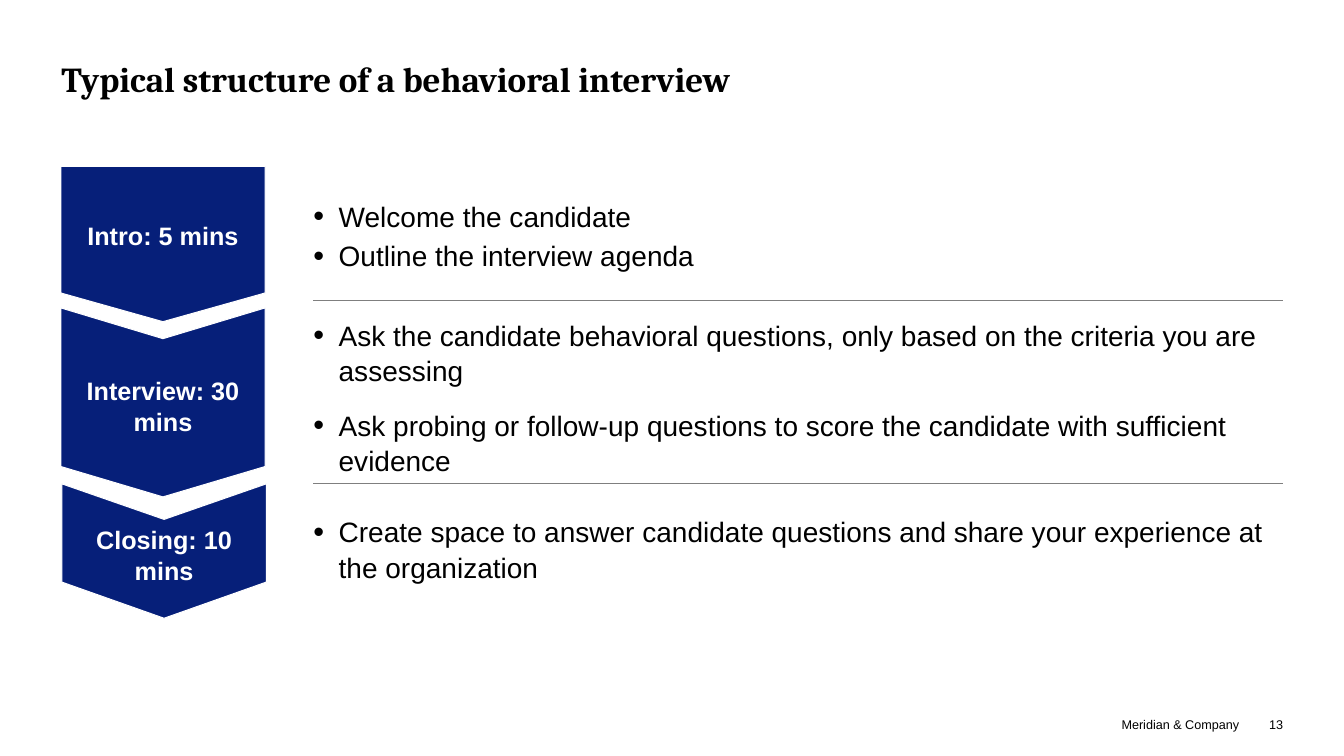
"""Build the slide on the structure of a behavioral interview."""
from lxml import etree
from pptx import Presentation
from pptx.dml.color import RGBColor
from pptx.enum.shapes import MSO_CONNECTOR
from pptx.enum.text import MSO_ANCHOR, PP_ALIGN
from pptx.oxml.ns import qn
from pptx.util import Pt

LEFT, MID, RIGHT = PP_ALIGN.LEFT, PP_ALIGN.CENTER, PP_ALIGN.RIGHT
TOP, CENTER, BOTTOM = MSO_ANCHOR.TOP, MSO_ANCHOR.MIDDLE, MSO_ANCHOR.BOTTOM
STRAIGHT = MSO_CONNECTOR.STRAIGHT

NAVY = RGBColor(0x06, 0x1F, 0x79)
WHITE = RGBColor(0xFF, 0xFF, 0xFF)
BLACK = RGBColor(0, 0, 0)
GRAY = RGBColor(0x7F, 0x7F, 0x7F)

TITLE = "Typical structure of a behavioral interview"
STAGES = [
    {"label": "Intro: 5 mins", "left": 43.4, "top": 118.9, "side": 209.3,
     "notch": 0, "tip": 20.5, "mid": 167.8, "text": 141.1, "gap": 0,
     "points": ["Welcome the candidate", "Outline the interview agenda"]},
    {"label": "Interview: 30 mins", "left": 43.4, "top": 219.9, "side": 333.2,
     "notch": 22, "tip": 21.7, "mid": 289.4, "text": 226.1, "gap": 11,
     "points": [
         "Ask the candidate behavioral questions, only based on the criteria you are assessing",
         "Ask probing or follow-up questions to score the candidate with sufficient evidence"]},
    {"label": "Closing: 10 mins", "left": 44.2, "top": 345.6, "side": 415.8,
     "notch": 25.4, "tip": 25.8, "mid": 395.8, "text": 366.5, "gap": 0,
     "points": [
         "Create space to answer candidate questions and share your experience at the organization"]},
]
FOOTER = [
    ("Meridian & Company", 798.5, 89.3, MID, False),
    ("13", 890.6, 26, RIGHT, True),
]
RULES = [214.6, 345.6]
WIDE, LABEL = 146, 126
BODY, EDGE = 223.9, 916.6

LEAD = {"size": Pt(25), "name": "Cambria", "bold": True}
TAG = {"size": Pt(18), "name": "Arial", "bold": True}
TEXT = {"size": Pt(20), "name": "Arial", "bold": False}
SMALL = {"size": Pt(9), "name": "Arial", "bold": False}


def style(para, font, color, align=LEFT, **form):
    """Format one paragraph and its font."""
    para.alignment = align
    for key, value in form.items():
        setattr(para, key, value)
    for key, value in font.items():
        setattr(para.font, key, value)
    para.font.color.rgb = color


def frame(shape, anchor, wrap=True):
    """Clear the margins of a shape and return its text frame."""
    area = shape.text_frame
    form = {"margin_left": 0, "margin_right": 0, "margin_top": 0,
            "margin_bottom": 0, "word_wrap": wrap, "vertical_anchor": anchor}
    for key, value in form.items():
        setattr(area, key, value)
    return area


def box(slide, left, top, wide, high, anchor, wrap=True):
    """Add a text box and return its text frame."""
    shape = slide.shapes.add_textbox(Pt(left), Pt(top), Pt(wide), Pt(high))
    return frame(shape, anchor, wrap)


def bullet(para):
    """Give a paragraph a hanging bullet."""
    props = para._p.get_or_add_pPr()
    props.set("marL", str(Pt(18)))
    props.set("indent", str(-Pt(18)))
    etree.SubElement(props, qn("a:buSzPct")).set("val", "110000")
    etree.SubElement(props, qn("a:buFont")).set("typeface", "Arial")
    etree.SubElement(props, qn("a:buChar")).set("char", "•")


def chevron(slide, stage):
    """Draw one stage arrow with its label."""
    left, top, side = stage["left"], stage["top"], stage["side"]
    mid, right = left + WIDE / 2, left + WIDE
    dots = [(right, top), (right, side), (mid, side + stage["tip"]),
            (left, side), (left, top), (mid, top + stage["notch"])]
    dots = [(Pt(x), Pt(y)) for x, y in dots]
    build = slide.shapes.build_freeform(*dots[0])
    build.add_line_segments(dots[1:], close=True)
    shape = build.convert_to_shape()
    shape.shadow.inherit = False
    shape.fill.solid()
    shape.fill.fore_color.rgb = NAVY
    shape.line.color.rgb = WHITE
    shape.line.width = Pt(0.75)
    high = 88
    area = box(slide, mid - LABEL / 2, stage["mid"] - high / 2, LABEL, high, CENTER)
    area.text = stage["label"]
    style(area.paragraphs[0], TAG, WHITE, MID, line_spacing=1.05)


def points(slide, stage):
    """Write the bullets of one stage."""
    high = 112 if stage["gap"] else 50
    area = box(slide, BODY, stage["text"], EDGE - BODY, high, TOP)
    area.text = "\n".join(stage["points"])
    for rank, para in enumerate(area.paragraphs):
        bullet(para)
        style(para, TEXT, BLACK, line_spacing=1.05, space_after=Pt(3),
              space_before=Pt(stage["gap"] if rank else 0))


def rule(slide, y):
    """Draw one divider."""
    line = slide.shapes.add_connector(STRAIGHT, Pt(BODY), Pt(y), Pt(EDGE), Pt(y))
    line.line.color.rgb = GRAY
    line.line.width = Pt(0.5)
    etree.SubElement(line._element.spPr, qn("a:effectLst"))


def main():
    """Build and save the deck."""
    deck = Presentation()
    deck.slide_width, deck.slide_height = Pt(960), Pt(540)
    slide = deck.slides.add_slide(deck.slide_layouts[5])
    title = slide.shapes.title
    title.left, title.top, title.width, title.height = Pt(43.9), Pt(43.9), Pt(872.7), Pt(28)
    area = frame(title, BOTTOM)
    area.text = TITLE
    style(area.paragraphs[0], LEAD, BLACK, line_spacing=0.93, space_before=Pt(0))
    for stage in STAGES:
        chevron(slide, stage)
        points(slide, stage)
    for y in RULES:
        rule(slide, y)
    for text, left, wide, align, wrap in FOOTER:
        area = box(slide, left, 511.9, wide, 10.8, BOTTOM, wrap)
        area.text = text
        style(area.paragraphs[0], SMALL, BLACK, align)
    deck.save("out.pptx")


if __name__ == "__main__":
    main()
